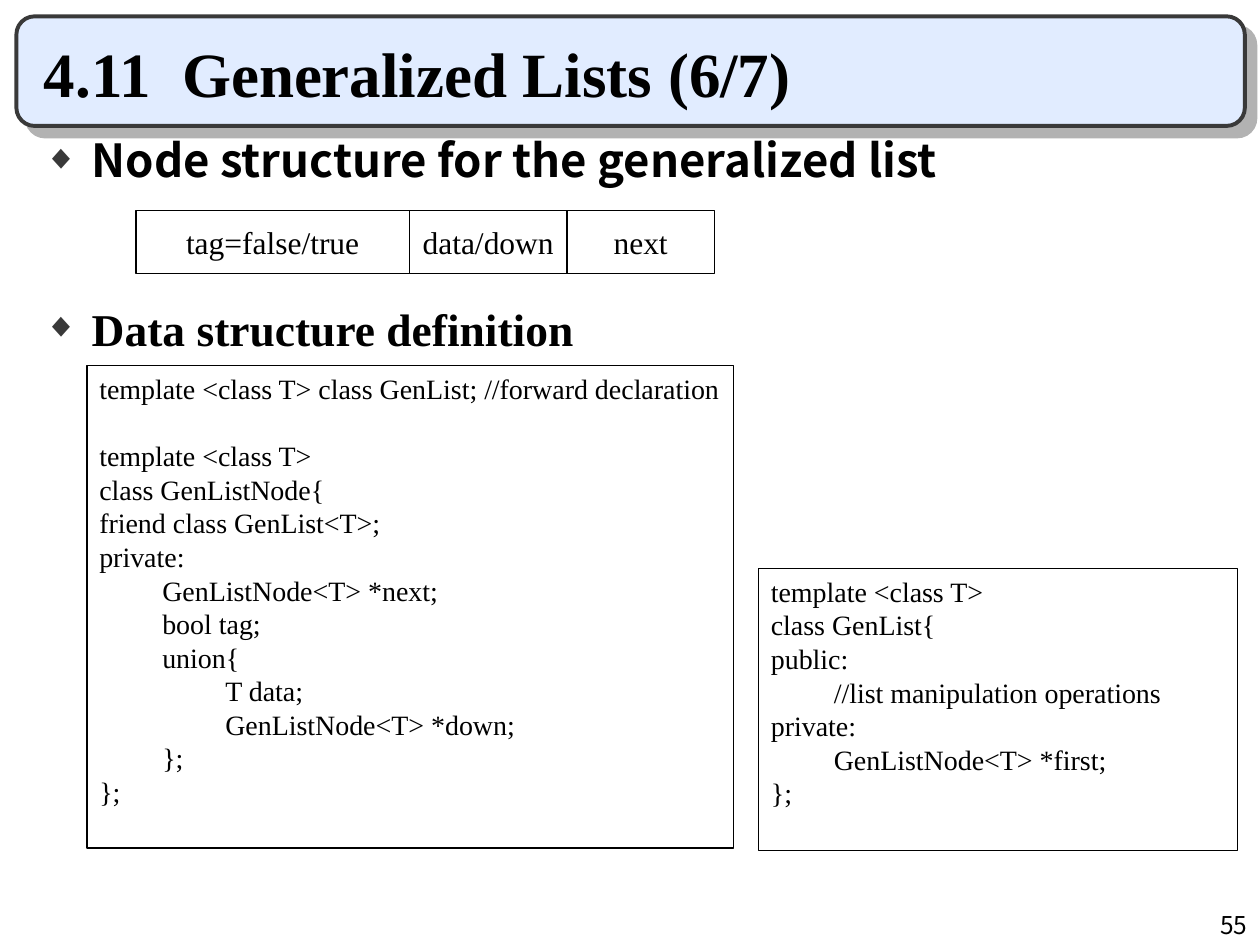
"""Build the generalized lists slide with its node layout and class code."""
from lxml import etree
from pptx import Presentation
from pptx.dml.color import RGBColor
from pptx.enum import shapes, text
from pptx.oxml import ns
from pptx.util import Inches, Pt

BLACK = RGBColor(0, 0, 0)
WHITE = RGBColor(255, 255, 255)
DARK = RGBColor(0x39, 0x39, 0x39)
PALE = RGBColor(0xE1, 0xEC, 0xFF)
GREY = RGBColor(0xB2, 0xB2, 0xB2)
SERIF = "Times New Roman"
SANS = "Noto Sans CJK KR"

TITLE = "4.11  Generalized Lists (6/7)"
HEADS = [
    ("Node structure for the generalized list", 1.08, SANS),
    ("Data structure definition", 2.42, SERIF),
]
FIELDS = [("tag=false/true", 2.17), ("data/down", 1.25), ("next", 1.17)]
FORWARD = "template <class T> class GenList; //forward declaration"
NODE = """template <class T>
class GenListNode{
friend class GenList<T>;
private:
\tGenListNode<T> *next;
\tbool tag;
\tunion{
\t\tT data;
\t\tGenListNode<T> *down;
\t};
};"""
LIST = """template <class T>
class GenList{
public:
\t//list manipulation operations
private:
\tGenListNode<T> *first;
};"""
CODES = [
    ([FORWARD, NODE], (0.69, 2.9, 5.13, 3.83)),
    ([LIST], (6.02, 4.51, 3.8, 2.24)),
]
LINE = 19.2


def add(root, tag, **attrs):
    node = etree.SubElement(root, ns.qn(tag))
    for key, val in attrs.items():
        node.set(key, str(val))
    return node


def draw(slide, box, kind=shapes.MSO_SHAPE.RECTANGLE, fill=None, line=BLACK, width=0.75):
    shape = slide.shapes.add_shape(kind, *map(Inches, box))
    shape.shadow.inherit = False
    if fill is None:
        shape.fill.background()
    else:
        shape.fill.solid()
        shape.fill.fore_color.rgb = fill
    shape.line.color.rgb = line
    shape.line.width = Pt(width)
    return shape


def write(shape, blocks, size=16, font=SERIF, bold=False, align=text.PP_ALIGN.LEFT,
          anchor=text.MSO_ANCHOR.TOP, wrap=True, bullet=False):
    frame = shape.text_frame
    frame.word_wrap = wrap
    frame.vertical_anchor = anchor
    rows = [(row, i > 0 and j == 0) for i, block in enumerate(blocks)
            for j, row in enumerate(block.split("\n"))]
    for i, (row, gap) in enumerate(rows):
        para = frame.add_paragraph() if i else frame.paragraphs[0]
        para.alignment = align
        if gap:
            para.space_before = Pt(LINE)
        if bullet:
            para.line_spacing = 0.8
            props = para._p.get_or_add_pPr()
            props.set("marL", str(Inches(0.38)))
            props.set("indent", str(-Inches(0.38)))
            add(add(props, "a:buClr"), "a:srgbClr", val=DARK)
            add(props, "a:buSzPct", val=75000)
            add(props, "a:buFont", typeface=SERIF)
            add(props, "a:buChar", char="◆")
        run = para.add_run()
        run.text = row
        run.font.name = font
        run.font.size = Pt(size)
        run.font.bold = bold
        run.font.color.rgb = BLACK


def label(slide, words, box, **style):
    write(slide.shapes.add_textbox(*map(Inches, box)), [words], **style)


def main():
    deck = Presentation()
    deck.slide_width, deck.slide_height = Inches(10), Inches(7.5)
    slide = deck.slides.add_slide(deck.slide_layouts[6])

    banner = draw(slide, (0.13, 0.13, 9.75, 0.87), shapes.MSO_SHAPE.ROUNDED_RECTANGLE,
                  PALE, DARK, 2.25)
    effects = banner._element.spPr.find(ns.qn("a:effectLst"))
    shade = add(effects, "a:outerShdw", dist=Pt(8.5), dir=45 * 60000, algn="ctr", rotWithShape=0)
    add(shade, "a:srgbClr", val=GREY)
    label(slide, TITLE, (0.25, 0.25, 9.42, 0.67), size=36, bold=True,
          anchor=text.MSO_ANCHOR.BOTTOM)
    label(slide, "55", (7.92, 7.17, 2.08, 0.33), size=14, font=SANS,
          align=text.PP_ALIGN.RIGHT)

    for words, top, font in HEADS:
        label(slide, words, (0.25, top, 9.5, 0.5), size=26, font=font, bold=True, bullet=True)

    left = 1.08
    for words, width in FIELDS:
        cell = draw(slide, (left, 1.67, width, 0.5), fill=WHITE)
        write(cell, [words], size=18, align=text.PP_ALIGN.CENTER,
              anchor=text.MSO_ANCHOR.MIDDLE, wrap=False)
        left += width

    for blocks, box in CODES:
        write(draw(slide, box), blocks, wrap=False)

    deck.save("out.pptx")


if __name__ == "__main__":
    main()
